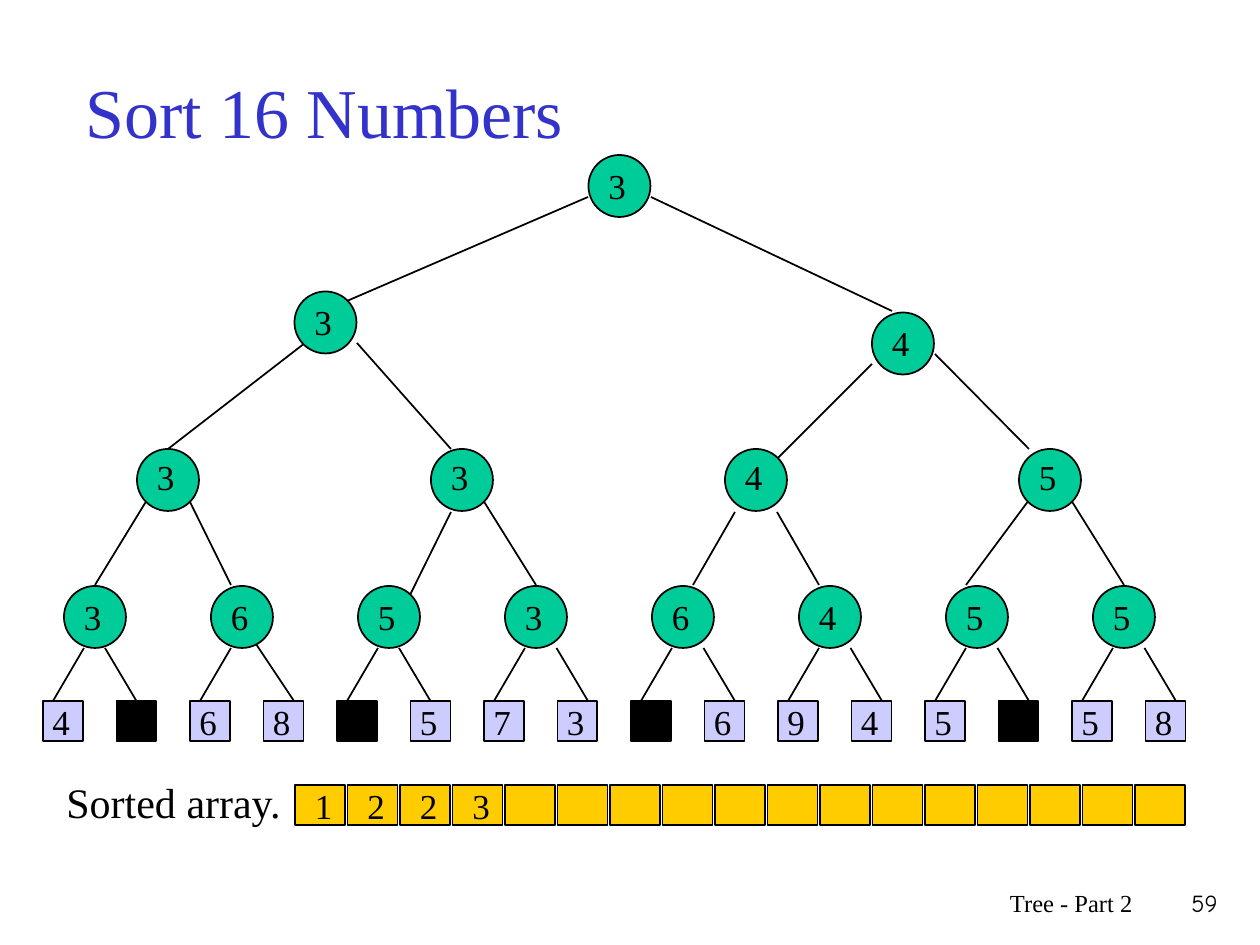
from lxml import etree
from pptx import Presentation
from pptx.dml.color import RGBColor
from pptx.enum.shapes import MSO_CONNECTOR, MSO_SHAPE
from pptx.enum.text import MSO_ANCHOR, MSO_AUTO_SIZE, PP_ALIGN
from pptx.oxml.ns import qn
from pptx.util import Emu, Pt

PX = 914400 / 126
COLORS = {
    "title": "3333CC",
    "ink": "000000",
    "node": "00CC99",
    "leaf": "CCCCFF",
    "array": "FFCC00",
}
SERIF = "Times New Roman"
NODE, LEAF, CELL = 62, 40, 50  # widths of the three kinds of box
LEAF_TOP, ARRAY_TOP = 701, 785


def px(n):
    return Emu(round(n * PX))


def rgb(name):
    return RGBColor.from_string(COLORS[name])


class Painter:
    def __init__(self, slide):
        self.slide = slide

    def box(self, kind, x, y, w, h, fill):
        sp = self.slide.shapes.add_shape(kind, px(x), px(y), px(w), px(h))
        sp.shadow.inherit = False
        sp.fill.solid()
        sp.fill.fore_color.rgb = rgb(fill)
        sp.line.color.rgb = rgb("ink")
        sp.line.width = Pt(1)

    def edge(self, x1, y1, x2, y2):
        line = self.slide.shapes.add_connector(
            MSO_CONNECTOR.STRAIGHT, px(x1), px(y1), px(x2), px(y2))
        line.line.color.rgb = rgb("ink")
        line.line.width = Pt(1)
        etree.SubElement(line._element.spPr, qn("a:effectLst"))

    def text(self, text, x, y, w, h, size, color="ink", font=SERIF,
             align=PP_ALIGN.LEFT, anchor=MSO_ANCHOR.TOP):
        sp = self.slide.shapes.add_textbox(px(x), px(y), px(w), px(h))
        tf = sp.text_frame
        tf.word_wrap = True
        tf.vertical_anchor = anchor
        tf.text = text
        p = tf.paragraphs[0]
        p.alignment = align
        r = p.runs[0]
        r.font.size = Pt(size)
        r.font.name = font
        r.font.color.rgb = rgb(color)
        return tf

    def digit(self, text, x, y):
        tf = self.text(text, x, y, 43, 54, 20)
        tf.word_wrap = False
        tf.auto_size = MSO_AUTO_SIZE.SHAPE_TO_FIT_TEXT

    def node(self, text, x, y, drop=3):
        self.box(MSO_SHAPE.OVAL, x, y, NODE, NODE, "node")
        self.digit(text, x + 7.5, y + drop)


def main():
    prs = Presentation()
    prs.slide_width, prs.slide_height = px(1260), px(945)
    s = Painter(prs.slides.add_slide(prs.slide_layouts[6]))

    # Title
    s.text("Sort 16 Numbers", 73, 32, 1071, 158, 40, "title",
           anchor=MSO_ANCHOR.MIDDLE)

    # Edges between the winner nodes
    for ends in [
        (588, 197, 347, 301), (651, 197, 892, 311),
        (305, 343, 168, 449), (357, 343, 451, 449),
        (872, 364, 777, 459), (935, 354, 1029, 449),
        (147, 500, 95, 585), (189, 500, 231, 585),
        (451, 512, 410, 595), (483, 500, 536, 585),
        (735, 512, 693, 585), (777, 512, 819, 585),
        (1029, 500, 966, 585), (1071, 500, 1124, 585),
    ]:
        s.edge(*ends)

    # Edges down to the leaves
    for i in range(8):
        x = 147 * i
        s.edge(x + 84, 648, x + 53, LEAF_TOP)
        if i == 1:
            s.edge(252, 638, 294, LEAF_TOP)
        else:
            shift = 10.5 if i > 2 else 0
            s.edge(x + 105 + shift, 648, x + 136.5 + shift, LEAF_TOP)

    # Winner nodes, from the root down
    s.node("3", 588.5, 155)
    s.node("3", 294.5, 291.5)
    s.node("4", 872, 312.5)
    for i, value in enumerate("3345"):
        s.node(value, 137 + 294 * i, 449, drop=0)
    for i, value in enumerate("36536455"):
        s.node(value, 64 + 147 * i, 586)

    # Leaves: a dash is a number already taken
    for i, value in enumerate("4-68-573-6945-58"):
        x = 43 + 73.5 * i
        taken = value == "-"
        s.box(MSO_SHAPE.RECTANGLE, x, LEAF_TOP, LEAF, LEAF,
              "ink" if taken else "leaf")
        if not taken:
            s.digit(value, x - 3, LEAF_TOP - 7)

    # Sorted array
    s.text("Sorted array.", 54, 770, 246, 63, 24)
    for i in range(17):
        s.box(MSO_SHAPE.RECTANGLE, 295 + 52.5 * i, ARRAY_TOP, CELL, LEAF, "array")
    for i, value in enumerate("1223"):
        s.digit(value, 302.5 + 52.5 * i, ARRAY_TOP - 7)

    # Footer
    s.text("Tree - Part 2", 746, 882, 399, 63, 14, align=PP_ALIGN.RIGHT)
    s.text("59", 1144, 882, 86, 63, 14, font="Comic Neue", align=PP_ALIGN.RIGHT)

    prs.save("out.pptx")


if __name__ == "__main__":
    main()
